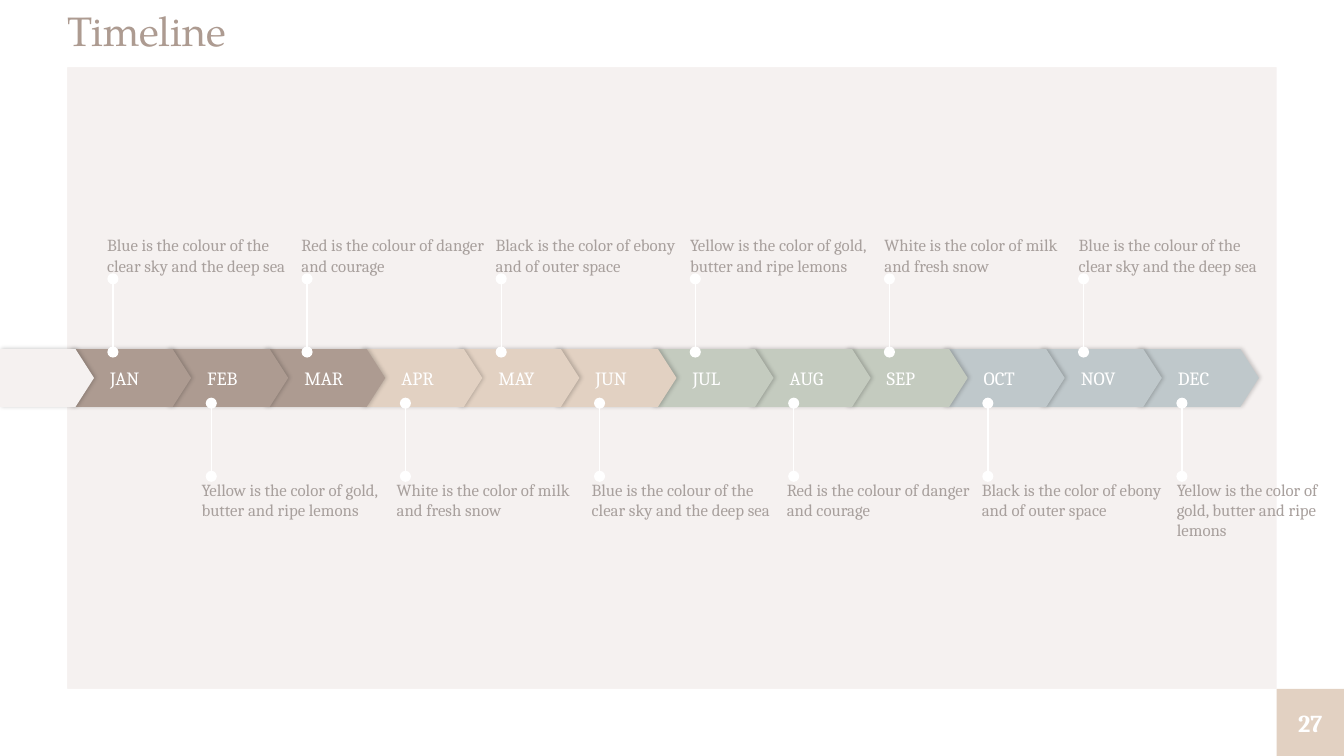
from pptx import Presentation
from pptx.dml.color import RGBColor
from pptx.enum.shapes import MSO_CONNECTOR, MSO_SHAPE
from pptx.enum.text import MSO_ANCHOR, MSO_AUTO_SIZE, PP_ALIGN
from pptx.oxml import parse_xml
from pptx.oxml.ns import nsdecls
from pptx.util import Pt

COLORS = {
    "paper": "F5F1F0", "white": "FFFFFF", "text": "A8A09D",
    "brown": "AD9B91", "sand": "E2D1C2", "green": "C4CBBF", "blue": "BFC8CB",
}
BODY_FONT = "Cambria"
TITLE_FONT = "TeX Gyre Pagella"
QUARTERS = [
    ("brown", ["JAN", "FEB", "MAR"]),
    ("sand", ["APR", "MAY", "JUN"]),
    ("green", ["JUL", "AUG", "SEP"]),
    ("blue", ["OCT", "NOV", "DEC"]),
]
BLUE = "Blue is the colour of the clear sky and the deep sea"
RED = "Red is the colour of danger and courage"
BLACK = "Black is the color of ebony and of outer space"
YELLOW = "Yellow is the color of gold, butter and ripe lemons"
WHITE = "White is the color of milk and fresh snow"
NOTES_ABOVE = [BLUE, RED, BLACK, YELLOW, WHITE, BLUE]
NOTES_BELOW = [YELLOW, WHITE, BLUE, RED, BLACK, YELLOW]


def rgb(name):
    return RGBColor.from_string(COLORS[name])


def set_text(sp, text, size, color, font=BODY_FONT, bold=False,
             anchor=MSO_ANCHOR.MIDDLE, align=PP_ALIGN.LEFT, inset=0):
    tf = sp.text_frame
    tf.word_wrap = True
    tf.auto_size = MSO_AUTO_SIZE.NONE
    tf.vertical_anchor = anchor
    tf.margin_left = Pt(inset)
    tf.margin_top = tf.margin_right = tf.margin_bottom = 0
    p = tf.paragraphs[0]
    p.text = text
    p.alignment = align
    f = p.runs[0].font
    f.name, f.size, f.bold = font, Pt(size), bold
    f.color.rgb = rgb(color)
    return p


def add_block(slide, kind, x, y, w, h, color):
    sp = slide.shapes.add_shape(kind, Pt(x), Pt(y), Pt(w), Pt(h))
    sp.shadow.inherit = False
    sp.fill.solid()
    sp.fill.fore_color.rgb = rgb(color)
    sp.line.fill.background()
    return sp


def add_arrow(slide, x, y, w, h, color):
    sp = add_block(slide, MSO_SHAPE.PENTAGON, x, y, w, h, color)
    sp.adjustments[0] = 0.32
    effects = sp._element.spPr.find(
        "{http://schemas.openxmlformats.org/drawingml/2006/main}effectLst")
    effects.append(parse_xml(
        f'<a:outerShdw {nsdecls("a")} blurRad="{Pt(2.2)}" dist="{Pt(0.8)}" dir="0">'
        '<a:srgbClr val="000000"><a:alpha val="20000"/></a:srgbClr></a:outerShdw>'))
    return sp


def add_pin(slide, x, y, h):
    line = slide.shapes.add_connector(
        MSO_CONNECTOR.STRAIGHT, Pt(x), Pt(y), Pt(x), Pt(y + h))
    line.line.color.rgb = rgb("white")
    line.line.width = Pt(0.75)
    ln = line.line._get_or_add_ln()
    for end in ("headEnd", "tailEnd"):
        ln.append(parse_xml(f'<a:{end} {nsdecls("a")} type="oval"/>'))
    line._element.spPr.append(parse_xml(f'<a:effectLst {nsdecls("a")}/>'))


def add_page_frame(slide, x, y, w, h, margin):
    slide.background.fill.solid()
    slide.background.fill.fore_color.rgb = rgb("paper")
    frame = add_block(slide, MSO_SHAPE.FRAME, x, y, w, h, "white")
    frame.adjustments[0] = margin / h
    slide.shapes._spTree.insert(2, frame._element)

    title = slide.shapes.title
    title.left, title.top = Pt(x + margin), Pt(y)
    title.width, title.height = Pt(w - 2 * margin), Pt(margin)
    p = set_text(title, "Timeline", 22, "brown", font=TITLE_FONT)
    p.line_spacing = 0.9

    number = add_block(slide, MSO_SHAPE.RECTANGLE, x + w - margin,
                       y + h - margin, margin, margin, "sand")
    set_text(number, "27", 13, "white", bold=True, align=PP_ALIGN.CENTER)


def add_month_band(slide, x, y, h, pitch):
    months = [(m, color) for color, names in QUARTERS for m in names]
    for i, (month, color) in reversed(list(enumerate(months))):
        sp = add_arrow(slide, x + i * pitch, y, 65, h, color)
        set_text(sp, month, 10, "white", inset=21.6)
    add_arrow(slide, 0, y, 50.4, h, "paper")


def add_notes(slide, notes, x, y, pitch, pin_x, pin_y, anchor, last_width):
    for i, note in enumerate(notes):
        add_pin(slide, pin_x + i * 104, pin_y, 39.2)
        w = last_width if i == len(notes) - 1 else 98.6
        box = slide.shapes.add_textbox(
            Pt(x + i * pitch), Pt(y), Pt(w), Pt(41.8))
        set_text(box, note, 9, "text", anchor=anchor)


def add_timeline(slide, x, y):
    add_month_band(slide, x, y, 31, 52)
    add_notes(slide, NOTES_ABOVE, x + 20, y - 81.2, 104.1,
              x + 23.1, y - 37.6, MSO_ANCHOR.BOTTOM, 98.6)
    add_notes(slide, NOTES_BELOW, x + 70.6, y + 70, 104.5,
              x + 75.8, y + 29, MSO_ANCHOR.TOP, 81.4)


def main():
    prs = Presentation()
    prs.slide_width, prs.slide_height = Pt(720), Pt(405)
    slide = prs.slides.add_slide(prs.slide_layouts[5])
    add_page_frame(slide, 0, 0, 720, 405, 36)
    add_timeline(slide, 37.4, 187)
    prs.save("out.pptx")


if __name__ == "__main__":
    main()
